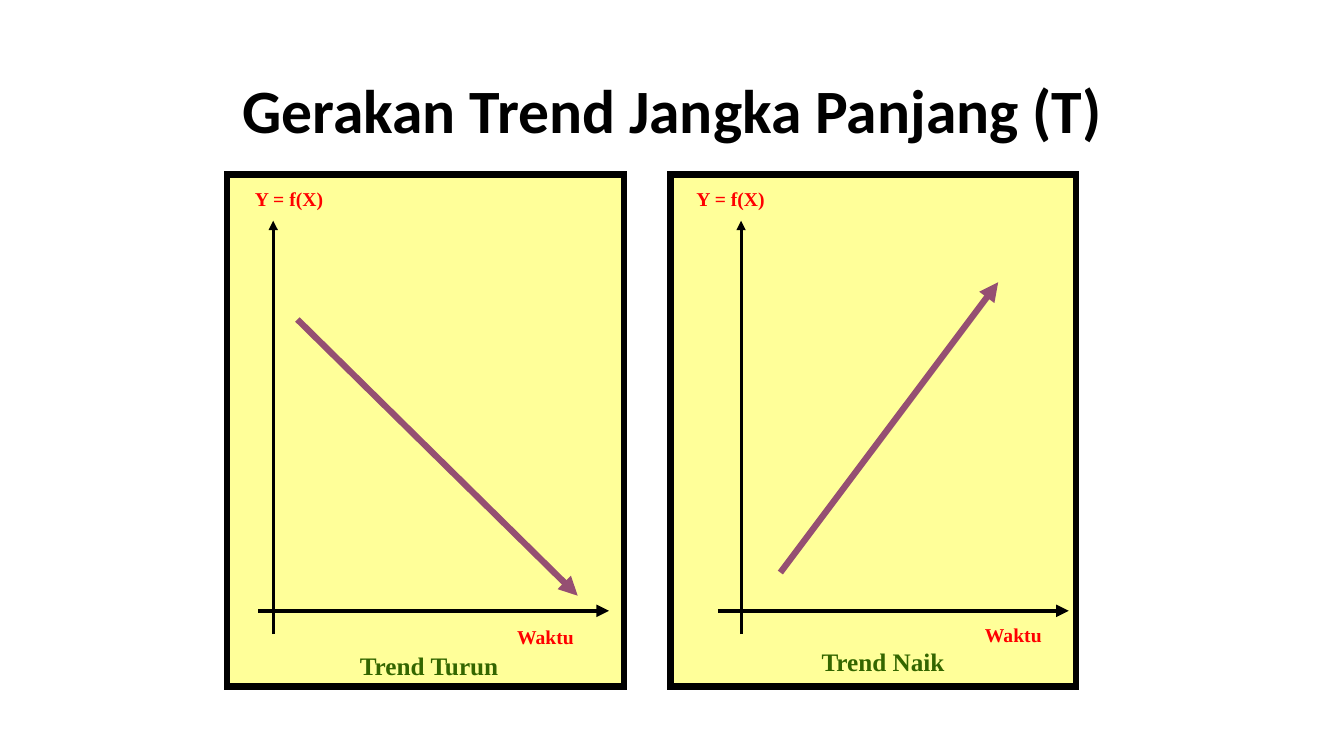
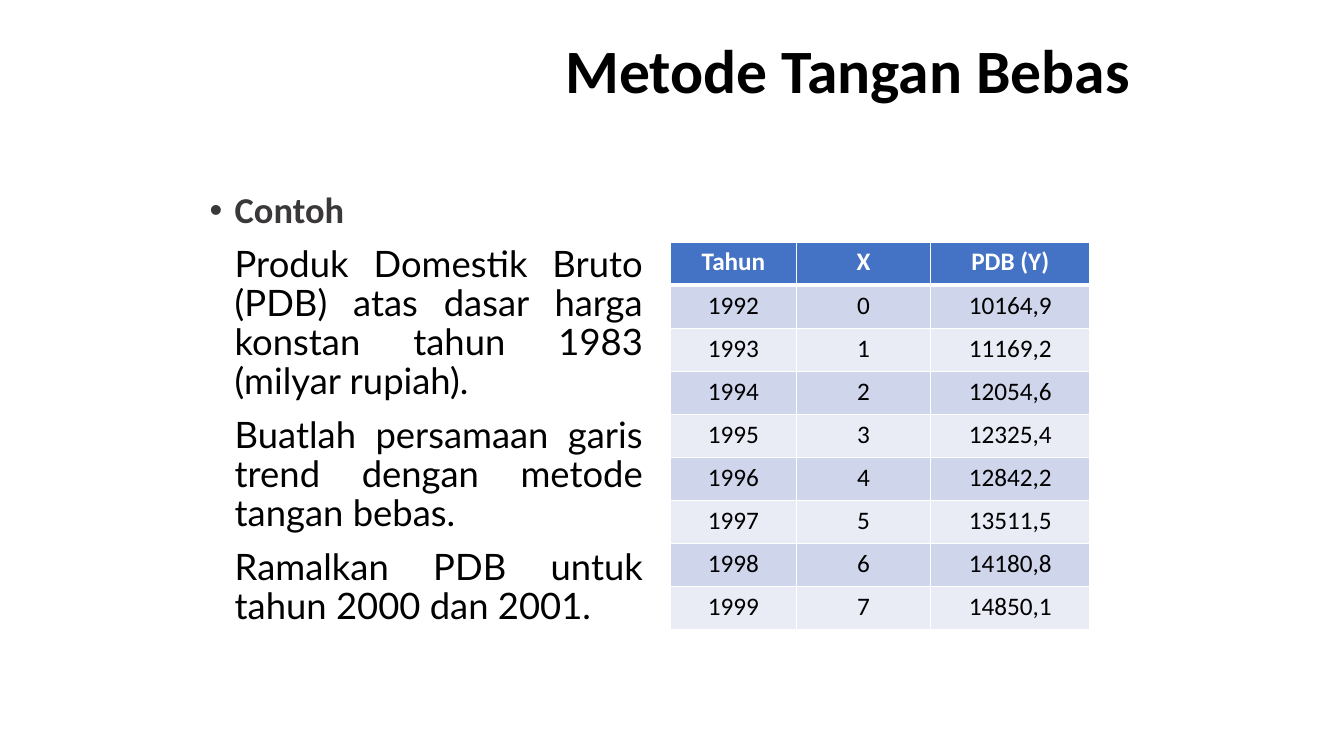
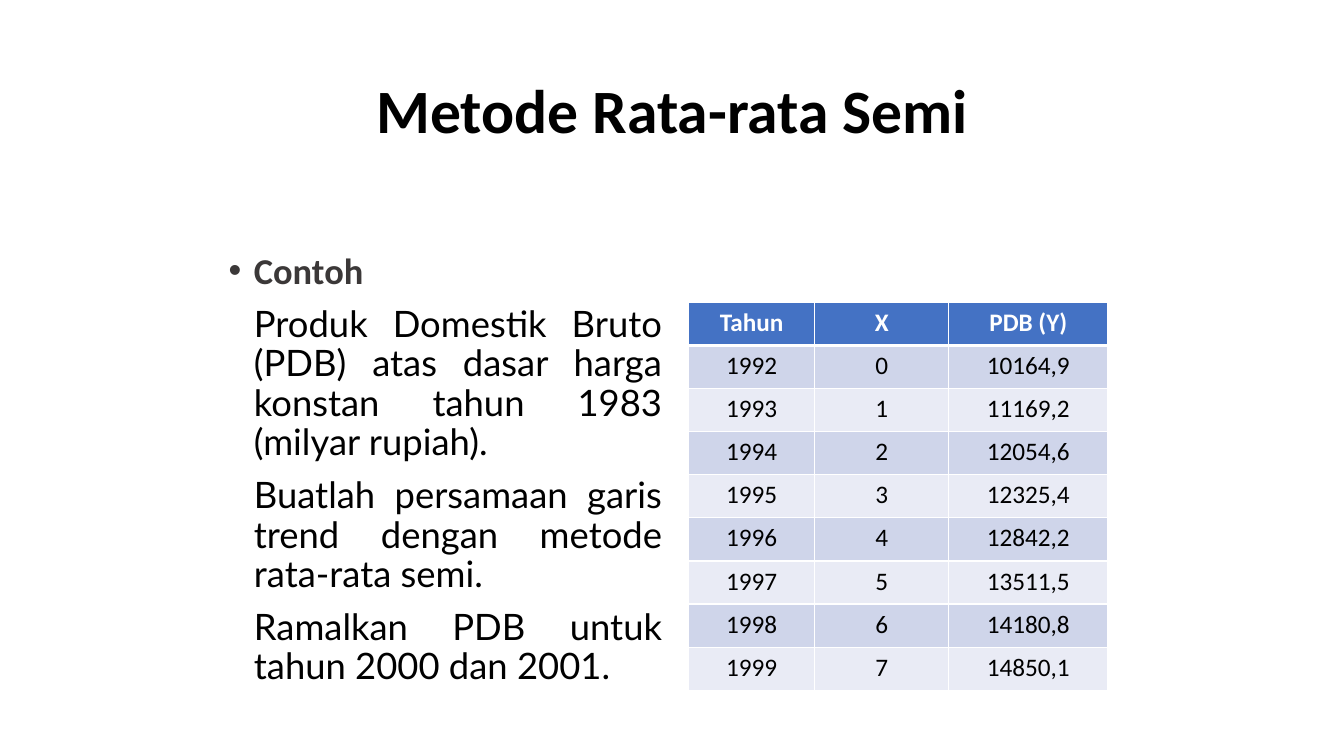
from pptx import Presentation
from pptx.dml.color import RGBColor
from pptx.enum.shapes import MSO_CONNECTOR, MSO_SHAPE
from pptx.enum.text import MSO_ANCHOR, MSO_AUTO_SIZE, PP_ALIGN
from pptx.oxml.ns import qn
from pptx.util import Inches, Pt
from lxml.etree import SubElement

RECT = MSO_SHAPE.RECTANGLE
LINE = MSO_CONNECTOR.STRAIGHT
MID = MSO_ANCHOR.MIDDLE
FIXED = MSO_AUTO_SIZE.NONE
LEFT, CENTER, FULL = PP_ALIGN.LEFT, PP_ALIGN.CENTER, PP_ALIGN.JUSTIFY

THEME = {
    "ink": "000000", "panel": "FFFF99", "trend": "954F72",
    "head": "4472C4", "bands": ("CFD5EA", "E9EBF5"), "rule": "FFFFFF",
    "title": {"name": "Calibri", "size": Pt(44), "bold": True, "color": "000000"},
    "lead": {"name": "Calibri", "size": Pt(26), "bold": True, "color": "3B3838"},
    "body": {"name": "Lato", "size": Pt(26), "bold": False, "color": "000000"},
    "axis": {"name": "Times New Roman", "size": Pt(14), "bold": True, "color": "FF0000"},
    "name": {"name": "Times New Roman", "size": Pt(18), "bold": True, "color": "336600"},
    "top": {"name": "Calibri", "size": Pt(18), "bold": True, "color": "FFFFFF"},
    "cell": {"name": "Calibri", "size": Pt(18), "bold": False, "color": "000000"},
}

WIDE, HIGH = 13.33, 7.5
TITLE = (0.92, 0.4, 11.5, 1.45)
PANEL = (1.73, 5.08)
AXIS = {"top": 2.19, "foot": 6.29, "base": 6.06, "long": 3.48}

GRAPHS = [
    {"left": 2.25, "wide": 3.94, "up": 2.71, "start": 2.56,
     "trend": (2.95, 3.17, 5.73, 5.91),
     "labels": [("Y = f(X)", "axis", (2.43, 1.81, 1.2, 0.34)),
                ("Waktu", "axis", (5.03, 6.15, 1.08, 0.34)),
                ("Trend Turun", "name", (3.47, 6.4, 1.65, 0.4))]},
    {"left": 6.65, "wide": 4.02, "up": 7.35, "start": 7.12,
     "trend": (7.74, 5.68, 9.9, 2.8),
     "labels": [("Y = f(X)", "axis", (6.81, 1.81, 1.2, 0.34)),
                ("Waktu", "axis", (9.67, 6.13, 1.08, 0.34)),
                ("Trend Naik", "name", (8.05, 6.36, 1.65, 0.4))]},
]

METHODS = [
    {"title": "Metode Tangan Bebas", "spot": (2.66, 0, 11.5, 1.45),
     "way": "tangan bebas", "text": (1.98, 1.86), "grid": (6.65, 2.4)},
    {"title": "Metode Rata-rata Semi", "spot": TITLE,
     "way": "rata-rata semi", "text": (2.17, 2.46), "grid": (6.83, 3)},
]
TASKS = [
    "Produk Domestik Bruto (PDB) atas dasar harga konstan tahun 1983 (milyar rupiah).",
    "Buatlah persamaan garis trend dengan metode {}.",
    "Ramalkan PDB untuk tahun 2000 dan 2001.",
]
HEADS = ("Tahun", "X", "PDB (Y)")
VALUES = ("10164,9", "11169,2", "12054,6", "12325,4",
          "12842,2", "13511,5", "14180,8", "14850,1")
ROWS = [HEADS] + [(str(1992 + n), str(n), val) for n, val in enumerate(VALUES)]
COLS = (1.25, 1.33, 1.58)
DEEP = 3.85


def tint(code):
    return RGBColor.from_string(code)


def box(spot):
    return [Inches(n) for n in spot]


def put(para, text, form, align=LEFT, **gaps):
    run = para.add_run()
    run.text = text
    for key, val in THEME[form].items():
        if key == "color":
            run.font.color.rgb = tint(val)
        else:
            setattr(run.font, key, val)
    para.alignment = align
    for key, val in gaps.items():
        setattr(para, key, val)


def page(deck, text, spot):
    slide = deck.slides.add_slide(deck.slide_layouts[5])
    title = slide.shapes.title
    for key, val in zip(("left", "top", "width", "height"), box(spot)):
        setattr(title, key, val)
    frame = title.text_frame
    frame.auto_size, frame.vertical_anchor = FIXED, MID
    put(frame.paragraphs[0], text, "title", CENTER, line_spacing=0.9)
    return slide


def label(slide, text, form, spot):
    frame = slide.shapes.add_textbox(*box(spot)).text_frame
    frame.word_wrap = True
    put(frame.paragraphs[0], text, form)


def arrow(slide, ends, color, size):
    link = slide.shapes.add_connector(LINE, *box(ends))
    link.line.color.rgb = tint(color)
    link.line.width = Pt(size)
    SubElement(link.line._get_or_add_ln(), qn("a:tailEnd"), type="triangle")
    SubElement(link._element.spPr, qn("a:effectLst"))


def panel(slide, left, wide):
    top, high = PANEL
    card = slide.shapes.add_shape(RECT, *box((left, top, wide, high)))
    card.shadow.inherit = False
    card.fill.solid()
    card.fill.fore_color.rgb = tint(THEME["panel"])
    card.line.color.rgb = tint(THEME["ink"])
    card.line.width = Pt(4.5)
    SubElement(card.line._get_or_add_ln(), qn("a:miter"), lim="800000")


def graph(slide, item):
    panel(slide, item["left"], item["wide"])
    up, start, base = item["up"], item["start"], AXIS["base"]
    arrow(slide, (up, AXIS["foot"], up, AXIS["top"]), THEME["ink"], 2.25)
    arrow(slide, (start, base, start + AXIS["long"], base), THEME["ink"], 3)
    arrow(slide, item["trend"], THEME["trend"], 4.5)
    for text, form, spot in item["labels"]:
        label(slide, text, form, spot)


def body(slide, spot, way):
    frame = slide.shapes.add_textbox(*box((*spot, 4.5, 4.73))).text_frame
    frame.word_wrap = True
    gaps = {"line_spacing": 0.9, "space_before": Pt(10)}
    lead = frame.paragraphs[0]
    put(lead, "Contoh", "lead", **gaps)
    paras = [lead]
    for task in TASKS:
        para = frame.add_paragraph()
        put(para, task.format(way), "body", FULL, **gaps)
        paras.append(para)
    for para in paras:
        para._p.get_or_add_pPr().set("marL", str(Inches(0.25)))
    props = lead._p.get_or_add_pPr()
    props.set("indent", str(-Inches(0.25)))
    SubElement(props, qn("a:buFont"), typeface="Arial")
    SubElement(props, qn("a:buChar"), char="•")


def edge(cell, low):
    props = cell._tc.get_or_add_tcPr()
    for spot, (tag, size) in enumerate((("lnL", 1), ("lnR", 1), ("lnT", 1), ("lnB", low))):
        line = SubElement(props, qn("a:" + tag), w=str(Pt(size)))
        fill = SubElement(line, qn("a:solidFill"))
        SubElement(fill, qn("a:srgbClr"), val=THEME["rule"])
        props.insert(spot, line)


def table(slide, spot):
    size = (*spot, sum(COLS), DEEP)
    grid = slide.shapes.add_table(len(ROWS), len(COLS), *box(size)).table
    for col, wide in zip(grid.columns, COLS):
        col.width = Inches(wide)
    for r, row in enumerate(ROWS):
        grid.rows[r].height = Inches(DEEP / len(ROWS))
        for c, text in enumerate(row):
            cell = grid.cell(r, c)
            cell.fill.solid()
            shade = THEME["bands"][(r - 1) % 2] if r else THEME["head"]
            cell.fill.fore_color.rgb = tint(shade)
            put(cell.text_frame.paragraphs[0], text, "cell" if r else "top", CENTER)
            edge(cell, 1 if r else 3)


def main():
    deck = Presentation()
    deck.slide_width, deck.slide_height = Inches(WIDE), Inches(HIGH)
    slide = page(deck, "Gerakan Trend Jangka Panjang (T)", TITLE)
    for item in GRAPHS:
        graph(slide, item)
    for item in METHODS:
        slide = page(deck, item["title"], item["spot"])
        body(slide, item["text"], item["way"])
        table(slide, item["grid"])
    deck.save("out.pptx")


if __name__ == "__main__":
    main()
